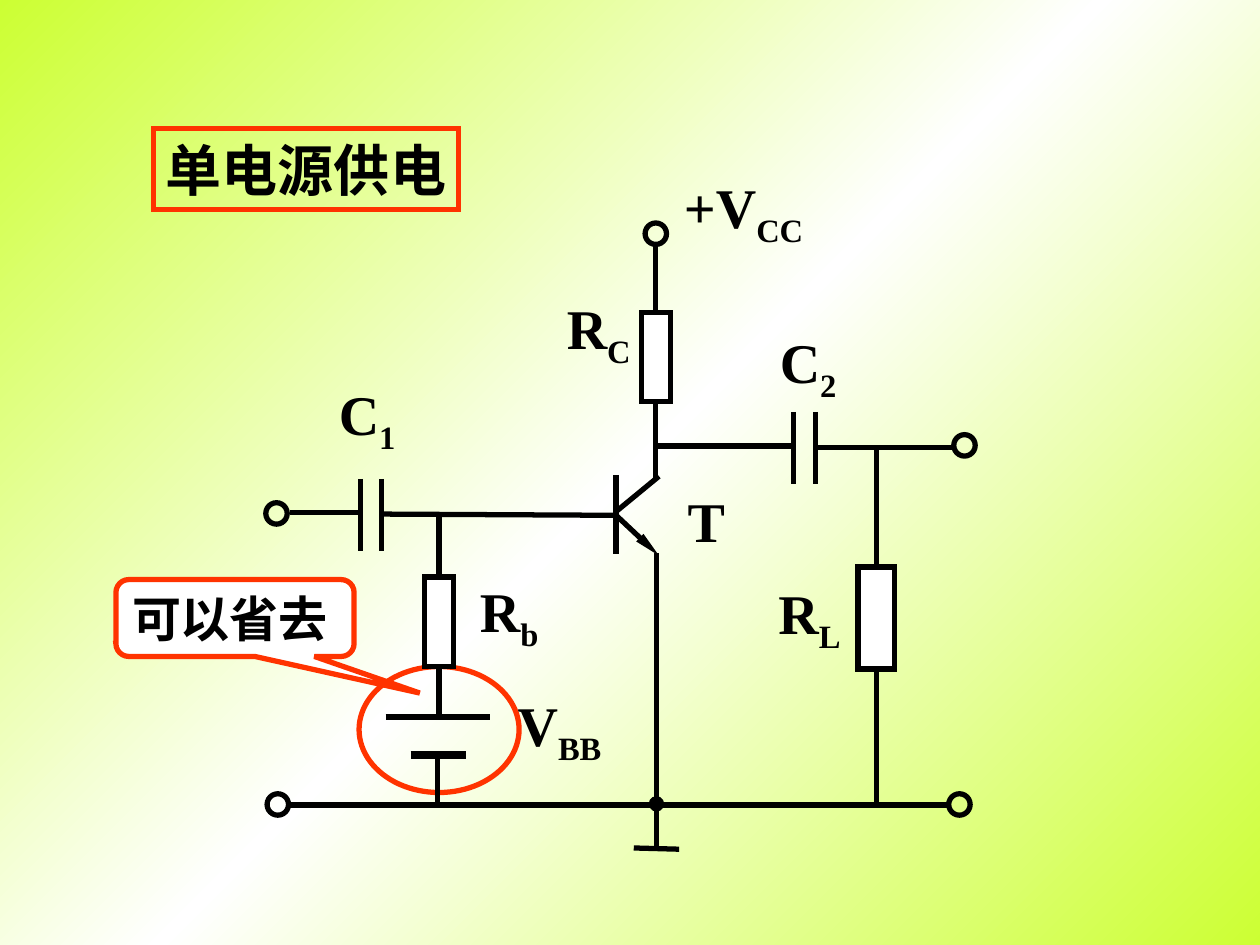
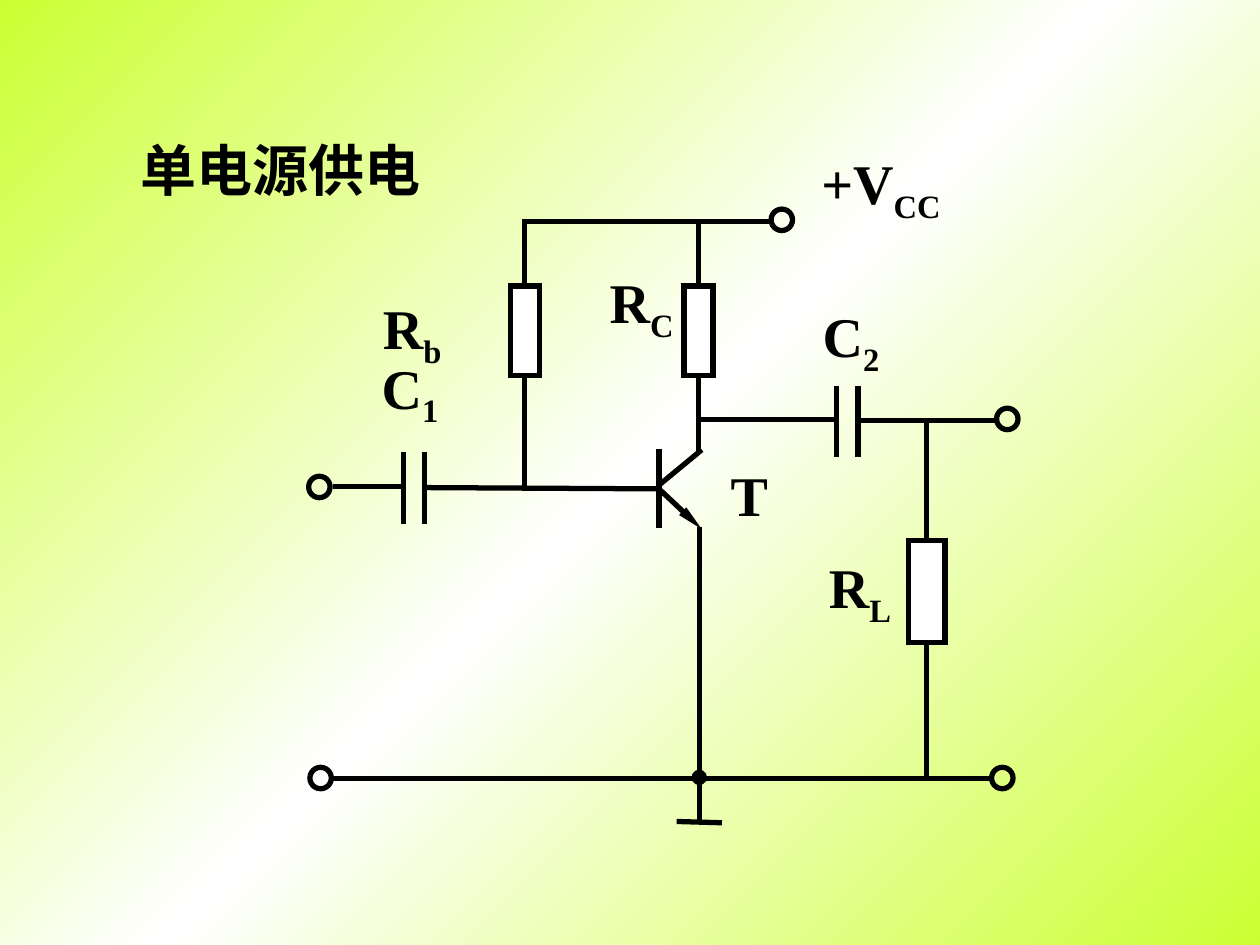
from copy import deepcopy

from lxml.etree import SubElement
from pptx import Presentation
from pptx.dml.color import RGBColor
from pptx.enum.shapes import MSO_CONNECTOR as Connector, MSO_SHAPE as Shape
from pptx.enum.text import MSO_ANCHOR as Anchor, MSO_AUTO_SIZE as AutoSize, PP_ALIGN as Align
from pptx.oxml.ns import qn
from pptx.util import Inches, Pt

COLORS = {"lime": "CCFF33", "white": "FFFFFF", "black": "000000", "red": "FF3300"}
FONT = "Times New Roman"
TITLE = "单电源供电"
LINE_WIDTH = 3
TERMINAL_SIZE = 0.17
RESISTOR_SIZE = (0.23, 0.71)


def color(name):
    return RGBColor.from_string(COLORS[name])


def set_background(master):
    fill = master.background.fill
    fill.gradient()
    fill.gradient_angle = 315
    stop_list = master.element.find(".//" + qn("p:bgPr")).find(".//" + qn("a:gsLst"))
    while len(stop_list) > 2:
        stop_list.remove(stop_list[1])
    stop_list.insert(1, deepcopy(stop_list[0]))
    for stop, position, name in zip(fill.gradient_stops, (0, 0.5, 1), ("lime", "white", "lime")):
        stop.position = position
        stop.color.rgb = color(name)


def write_text(shape, text, size=32, subscript="", align=Align.LEFT, side_margin=0.1):
    frame = shape.text_frame
    frame.word_wrap = False
    frame.auto_size = AutoSize.NONE
    frame.vertical_anchor = Anchor.MIDDLE
    frame.margin_left = frame.margin_right = Inches(side_margin)
    frame.margin_top = frame.margin_bottom = Inches(0.05)
    paragraph = frame.paragraphs[0]
    paragraph.alignment = align
    paragraph.space_before = Pt(0)
    for part in filter(None, (text, subscript)):
        run = paragraph.add_run()
        run.text = part
        run.font.name = FONT
        run.font.size = Pt(size)
        run.font.bold = True
        run.font.color.rgb = color("black")
        if part == subscript:
            run.font._element.set("baseline", "-25000")


def set_outline(shape, name):
    shape.line.color.rgb = color(name)
    shape.line.width = Pt(LINE_WIDTH)
    SubElement(shape.line._get_or_add_ln(), qn("a:miter")).set("lim", "800000")


def add_title(slide, left, top, framed=False):
    title = slide.shapes.title
    title.left, title.top = Inches(left), Inches(top)
    title.width, title.height = Inches(2.42), Inches(0.64)
    write_text(title, TITLE, align=Align.CENTER, side_margin=0.02)
    if framed:
        set_outline(title, "red")


def add_label(slide, left, top, width, text, subscript="", height=0.71):
    label = slide.shapes.add_textbox(Inches(left), Inches(top), Inches(width), Inches(height))
    write_text(label, text, subscript=subscript)


def add_outline(slide, kind, left, top, width, height, fill=None, line="black"):
    shape = slide.shapes.add_shape(kind, Inches(left), Inches(top), Inches(width), Inches(height))
    shape.shadow.inherit = False
    if fill:
        shape.fill.solid()
        shape.fill.fore_color.rgb = color(fill)
    else:
        shape.fill.background()
    set_outline(shape, line)
    return shape


def add_wire(slide, x1, y1, x2, y2, width=LINE_WIDTH, arrow=False):
    wire = slide.shapes.add_connector(
        Connector.STRAIGHT, Inches(x1), Inches(y1), Inches(x2), Inches(y2))
    wire.line.color.rgb = color("black")
    wire.line.width = Pt(width)
    if arrow:
        head = SubElement(wire.line._get_or_add_ln(), qn("a:tailEnd"))
        for key, value in (("type", "triangle"), ("w", "sm"), ("len", "lg")):
            head.set(key, value)
    SubElement(wire._element.spPr, qn("a:effectLst"))
    return wire


def add_terminal(slide, left, top):
    add_outline(slide, Shape.OVAL, left, top, TERMINAL_SIZE, TERMINAL_SIZE)


def add_resistor(slide, left, top, size, wire_top, wire_bottom):
    width, height = size
    center = left + width / 2
    resistor = add_outline(slide, Shape.RECTANGLE, left, top, width, height, fill="white")
    upper = add_wire(slide, center, wire_top, center, top)
    upper.end_connect(resistor, 0)
    lower = add_wire(slide, center, top + height, center, wire_bottom)
    lower.begin_connect(resistor, 2)


def add_capacitor(slide, left, top):
    for x in (left, left + 0.17):
        add_wire(slide, x, top, x, top + 0.57)


def add_amplifier(slide, left, top):
    wires = [
        (0.2, 2.32, 0.75, 2.32),
        (0.92, 2.33, 2.79, 2.34),
        (2.79, 2.02, 2.79, 2.65),
        (2.79, 2.31, 3.13, 2.03),
        (3.11, 2.64, 3.11, 5),
        (3.09, 1.79, 4.19, 1.79),
        (4.36, 1.8, 5.48, 1.8),
        (0.2, 4.64, 5.44, 4.64),
        (2.93, 4.98, 3.29, 4.99),
    ]
    for x1, y1, x2, y2 in wires:
        add_wire(slide, left + x1, top + y1, left + x2, top + y2)
    add_wire(slide, left + 2.79, top + 2.34, left + 3.13, top + 2.66, arrow=True)
    add_resistor(slide, left + 2.99, top + 0.73, RESISTOR_SIZE, top + 0.2, top + 2.05)
    for x, y in ((0.76, 2.05), (4.2, 1.52)):
        add_capacitor(slide, left + x, top + y)
    for x, y in ((0.01, 2.24), (0.02, 4.55), (5.47, 1.7), (5.43, 4.55)):
        add_terminal(slide, left + x, top + y)
    add_outline(slide, Shape.OVAL, left + 3.07, top + 4.59, 0.08, 0.08, fill="black")
    labels = [
        (2.3, 0.53, 0.7, "R", "C"),
        (0.49, 1.21, 0.65, "C", "1"),
        (3.99, 0.8, 0.65, "C", "2"),
    ]
    for x, y, width, text, subscript in labels:
        add_label(slide, left + x, top + y, width, text, subscript)
    add_label(slide, left + 3.26, top + 2.06, 0.49, "T", height=0.64)


def add_load(slide, left, top):
    add_resistor(slide, left + 0.73, top + 0.94, (0.29, 0.81), top, top + 2.83)
    add_label(slide, left, top + 0.98, 0.69, "R", "L")


def add_battery_bias(slide, left, top):
    add_resistor(slide, left + 0.31, top + 0.51, RESISTOR_SIZE, top, top + 1.62)
    add_wire(slide, left, top + 1.62, left + 0.83, top + 1.62)
    add_wire(slide, left + 0.2, top + 1.92, left + 0.64, top + 1.92, width=4.5)
    add_wire(slide, left + 0.41, top + 1.92, left + 0.41, top + 2.32)
    add_label(slide, left + 0.65, top + 0.45, 0.66, "R", "b")
    add_label(slide, left + 0.95, top + 1.36, 0.86, "V", "BB")


def add_battery_note(slide, left, top):
    add_outline(slide, Shape.OVAL, left + 1.93, top + 0.69, 1.27, 1, line="red")
    callout = add_outline(slide, Shape.ROUNDED_RECTANGULAR_CALLOUT, left, top, 1.89, 0.61,
                          fill="white", line="red")
    for index, value in enumerate((0.776, 0.977, 0.167)):
        callout.adjustments[index] = value
    write_text(callout, "可以省去", size=28)


def add_supply_bias(slide, left, top):
    add_resistor(slide, left + 1.11, top + 0.51, RESISTOR_SIZE, top - 0.02, top + 2.11)
    add_wire(slide, left + 1.22, top, left + 3.16, top)
    add_terminal(slide, left + 3.18, top - 0.1)
    add_label(slide, left, top + 0.52, 0.66, "R", "b")
    add_label(slide, left + 3.48, top - 0.63, 1.14, "+V", "CC")


def build_two_supplies(slide):
    add_title(slide, 1.22, 1.02, framed=True)
    add_battery_note(slide, 0.92, 4.6)
    add_amplifier(slide, 2.1, 1.75)
    add_terminal(slide, 5.12, 1.77)
    add_label(slide, 5.33, 1.32, 1.14, "+V", "CC")
    add_battery_bias(slide, 3.06, 4.07)
    add_load(slide, 6.08, 3.56)


def build_single_supply(slide):
    add_title(slide, 1.02, 1.02)
    add_supply_bias(slide, 2.94, 1.76)
    add_amplifier(slide, 2.44, 1.54)
    add_load(slide, 6.48, 3.35)


def main():
    presentation = Presentation()
    presentation.slide_width, presentation.slide_height = Inches(10), Inches(7.5)
    set_background(presentation.slide_master)
    title_only = presentation.slide_layouts[5]
    for build in (build_two_supplies, build_single_supply):
        build(presentation.slides.add_slide(title_only))
    presentation.save("out.pptx")


if __name__ == "__main__":
    main()
